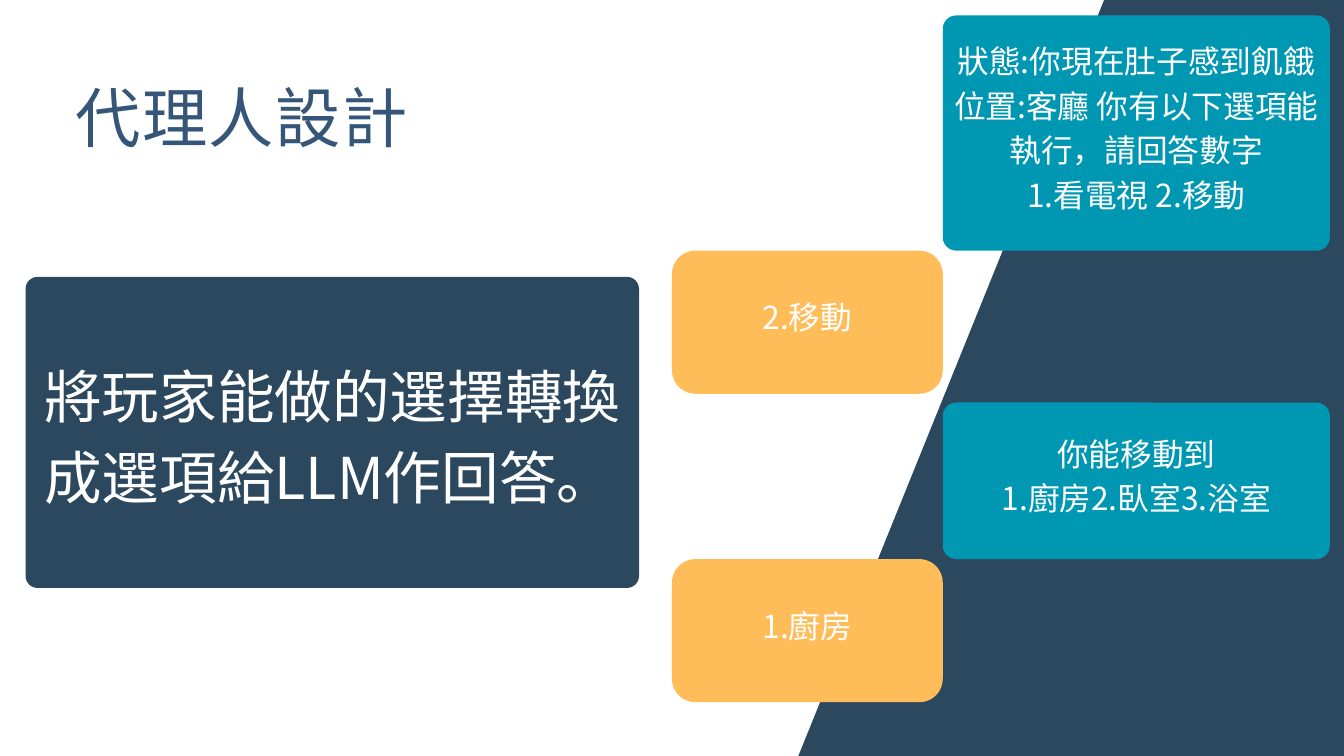
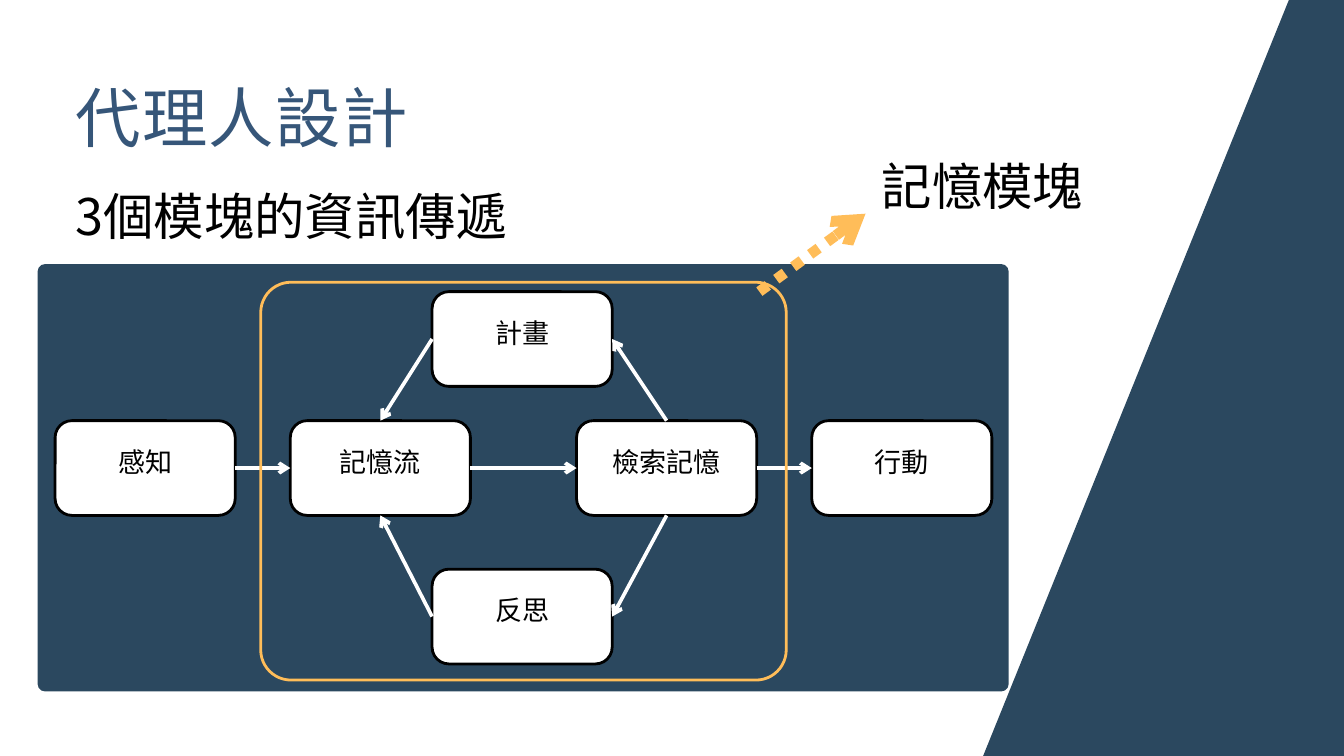
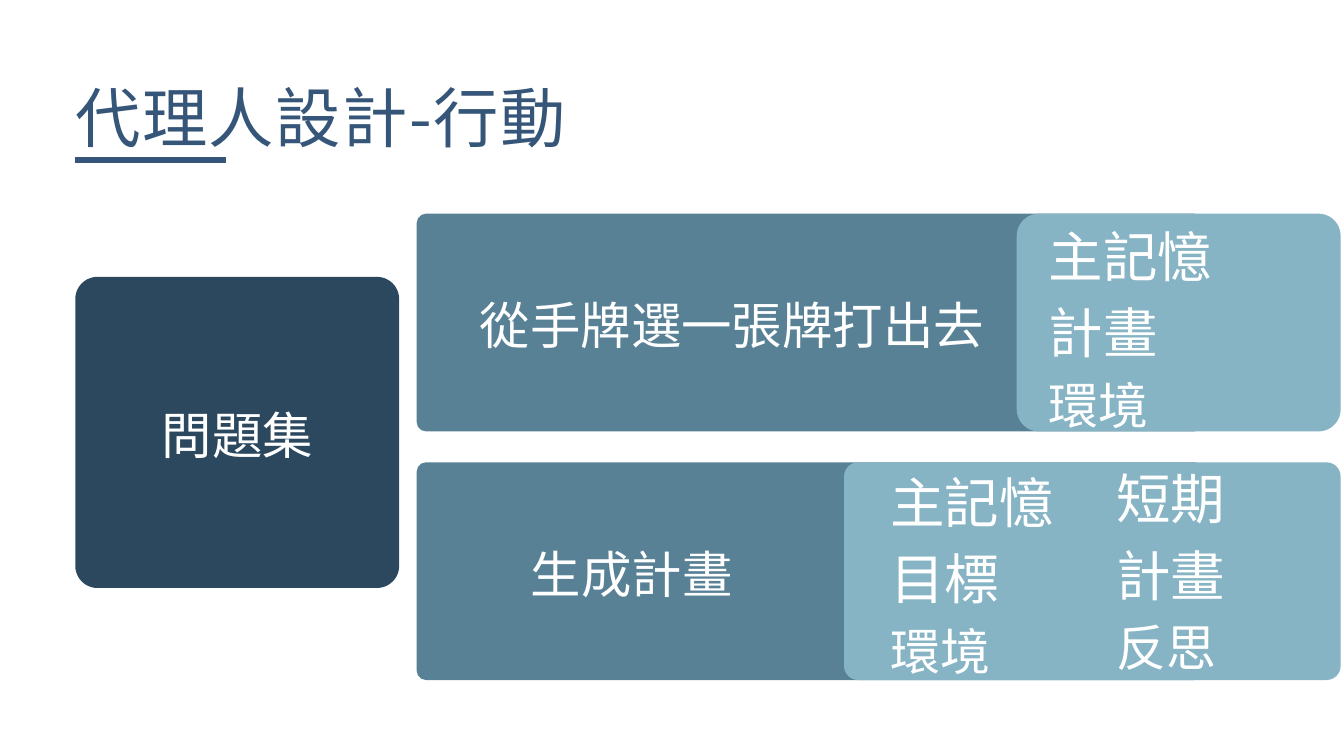
from dataclasses import dataclass

from lxml import etree
from pptx import Presentation
from pptx.dml.color import RGBColor
from pptx.enum import dml, shapes, text
from pptx.oxml import ns
from pptx.util import Emu, Pt

PX = 9144  # EMU per px, 100 px to the inch
WIDTH, HEIGHT = 2000, 1125


@dataclass(frozen=True)
class Theme:
    font: str = "Noto Sans CJK JP"
    navy: str = "2B485F"
    title_blue: str = "365679"
    teal: str = "0097B2"
    amber: str = "FFBD59"
    steel: str = "598196"
    sky: str = "86B4C4"
    white: str = "FFFFFF"
    black: str = "000000"
    title: float = 70
    statement: float = 61.7
    heading: float = 54
    item: float = 58.4
    last_item: float = 53.4
    dialogue: float = 34
    node: float = 29
    title_leading: float = 1.3
    leading: float = 1.4
    title_tracking: int = 170
    outline: float = 3


THEME = Theme()
LEFT, CENTER = text.PP_ALIGN.LEFT, text.PP_ALIGN.CENTER
LAYOUT_CONTENT, LAYOUT_COMPARISON = 1, 4

# ---- Content ----
TITLE = "代理人設計"
ACTION_TITLE = "代理人設計-行動"

STATEMENT = "將玩家能做的選擇轉換成選項給LLM作回答。"
PROMPTS = [  # lines, top, height
    (["狀態:你現在肚子感到飢餓 位置:客廳 你有以下選項能執行，請回答數字",
      "1.看電視 2.移動"], 23, 350),
    (["你能移動到", "1.廚房2.臥室3.浴室"], 599, 233),
]
ANSWERS = [("2.移動", 373), ("1.廚房", 832)]  # text, top

FLOW_HEADING = "3個模塊的資訊傳遞"
MEMORY_LABEL = "記憶模塊"
NODES = {  # name: left, top
    "感知": (82, 626), "記憶流": (432, 626), "檢索記憶": (858, 626),
    "行動": (1208, 626), "計畫": (643, 434), "反思": (643, 847),
}
TOP, WEST, BOTTOM, EAST = range(4)  # connection sites of a rounded rectangle
FLOWS = [
    ("感知", EAST, "記憶流", WEST),
    ("記憶流", EAST, "檢索記憶", WEST),
    ("檢索記憶", EAST, "行動", WEST),
    ("檢索記憶", TOP, "計畫", EAST),
    ("計畫", WEST, "記憶流", TOP),
    ("反思", WEST, "記憶流", BOTTOM),
    ("檢索記憶", BOTTOM, "反思", EAST),
]

QUESTION_SET = "問題集"
QUESTIONS = [  # question, text indent, top, card left, card radius
    ("從手牌選一張牌打出去", 90, 318, 1513, 33),
    ("生成計畫", 166, 688, 1256, 21),
]
INPUTS = [  # items, left, top, width
    (["主記憶", "計畫", "環境"], 1561, 315, 434),
    (["主記憶", "目標", "環境"], 1325, 681, 259),
    (["短期", "計畫", "反思"], 1661, 676, 259),
]


# ---- Shared helpers ----
def px(value):
    return Emu(round(value * PX))


def color(value):
    return RGBColor.from_string(value)


def add_element(parent, tag, **attributes):
    return etree.SubElement(parent, ns.qn(tag), attributes)


def write(shape, lines, ink, sizes, align=LEFT, leading=THEME.leading,
          margins=(0, 0, 0, 0), anchor=text.MSO_ANCHOR.TOP):
    """Fill a shape with one paragraph per line; sizes matches lines."""
    frame = shape.text_frame
    frame.word_wrap = True
    frame.auto_size = text.MSO_AUTO_SIZE.NONE
    frame.vertical_anchor = anchor
    (frame.margin_left, frame.margin_top,
     frame.margin_right, frame.margin_bottom) = map(px, margins)
    for index, (line, size) in enumerate(zip(lines, sizes)):
        paragraph = frame.paragraphs[0] if index == 0 else frame.add_paragraph()
        properties = paragraph._p.get_or_add_pPr()
        properties.set("marL", "0")
        properties.set("indent", "0")
        add_element(properties, "a:buNone")
        paragraph.alignment = align
        paragraph.line_spacing = Pt(round(size * leading, 1))
        paragraph.space_before = Pt(0)
        run = paragraph.add_run()
        run.text = line
        run.font.size = Pt(size)
        run.font.bold = False
        run.font.color.rgb = color(ink)
        run.font.name = THEME.font
        add_element(run._r.get_or_add_rPr(), "a:ea", typeface=THEME.font)


def place(shape, left, top, width, height):
    shape.left, shape.top = px(left), px(top)
    shape.width, shape.height = px(width), px(height)


def bring_to_front(shape):
    shape._element.getparent().append(shape._element)


def new_slide(presentation, layout, title, title_width=667):
    slide = presentation.slides.add_slide(presentation.slide_layouts[layout])
    shape = slide.shapes.title
    place(shape, 112, 105, title_width, 124)
    write(shape, [title], THEME.title_blue, [THEME.title],
          leading=THEME.title_leading)
    for run in shape.text_frame.paragraphs[0].runs:
        run._r.get_or_add_rPr().set("spc", str(THEME.title_tracking))
    return slide


def body_placeholders(slide):
    return [shape for shape in slide.placeholders
            if shape.placeholder_format.idx > 0]


def fill_body(shape, box, lines, ink, sizes):
    place(shape, *box)
    write(shape, lines, ink, sizes)
    bring_to_front(shape)


def rounded_box(slide, box, radius, fill=None, outline=None):
    shape = slide.shapes.add_shape(
        shapes.MSO_SHAPE.ROUNDED_RECTANGLE, *map(px, box))
    shape.adjustments[0] = radius / min(box[2:])
    shape.shadow.inherit = False
    if fill:
        shape.fill.solid()
        shape.fill.fore_color.rgb = color(fill)
    else:
        shape.fill.background()
    if outline:
        shape.line.color.rgb = color(outline)
        shape.line.width = Pt(THEME.outline)
    else:
        shape.line.fill.background()
    return shape


def label(shape, lines, size, ink=THEME.white, lift=0, indent=0, align=CENTER):
    """Write inside a box, middle anchored; lift is the extra bottom margin."""
    write(shape, lines, ink, [size] * len(lines), align,
          margins=(indent, 0, 0, lift), anchor=text.MSO_ANCHOR.MIDDLE)


def slanted_band(slide, top_x):
    """Navy side band whose left edge leans 455 px over the slide height."""
    builder = slide.shapes.build_freeform(top_x, 0, scale=PX)
    builder.add_line_segments(
        [(WIDTH, 0), (WIDTH, HEIGHT), (top_x - 455, HEIGHT)], close=True)
    band = builder.convert_to_shape()
    band.shadow.inherit = False
    band.fill.solid()
    band.fill.fore_color.rgb = color(THEME.navy)
    band.line.fill.background()


def add_line(slide, ends, ink, width, arrow=True, dash=None):
    connector = slide.shapes.add_connector(
        shapes.MSO_CONNECTOR.STRAIGHT, *map(px, ends))
    connector.line.color.rgb = color(ink)
    connector.line.width = Pt(width)
    if dash:
        connector.line.dash_style = dash
    if arrow:
        add_element(connector.line._get_or_add_ln(), "a:tailEnd", type="arrow")
    add_element(connector._element.spPr, "a:effectLst")
    return connector


# ---- Slides ----
def build_choices(presentation):
    slide = new_slide(presentation, LAYOUT_CONTENT, TITLE)
    rounded_box(slide, (38, 412, 913, 463), 18, THEME.navy)
    fill_body(body_placeholders(slide)[0], (66, 520, 857, 236),
              [STATEMENT], THEME.white, [THEME.statement])
    slanted_band(slide, 1643)
    for lines, top, height in PROMPTS:
        box = rounded_box(slide, (1403, top, 576, height), 20, THEME.teal)
        label(box, lines, THEME.dialogue, lift=25)
    for answer, top in ANSWERS:
        box = rounded_box(slide, (1000, top, 403, 213), 35, THEME.amber)
        label(box, [answer], THEME.dialogue, lift=25)


def build_flow(presentation):
    slide = new_slide(presentation, LAYOUT_CONTENT, TITLE)
    rounded_box(slide, (56, 393, 1445, 636), 11, THEME.navy)
    slanted_band(slide, 1918)

    # Modules and the arrows between them
    nodes = {}
    for name, (left, top) in NODES.items():
        nodes[name] = rounded_box(slide, (left, top, 268, 141), 25,
                                  THEME.white, THEME.black)
        label(nodes[name], [name], THEME.node, THEME.black, lift=28)
    for source, source_site, target, target_site in FLOWS:
        arrow = add_line(slide, (0, 0, 0, 0), THEME.white, 3.95)
        arrow.begin_connect(nodes[source], source_site)
        arrow.end_connect(nodes[target], target_site)

    # Memory module frame and its callout
    rounded_box(slide, (388, 420, 782, 592), 45, outline=THEME.amber)
    fill_body(body_placeholders(slide)[0], (112, 261, 747, 102),
              [FLOW_HEADING], THEME.black, [THEME.heading])
    add_line(slide, (1130, 434, 1288, 318), THEME.amber, 11.25,
             dash=dml.MSO_LINE.ROUND_DOT)
    callout = slide.shapes.add_textbox(*map(px, (1312, 216, 369, 102)))
    write(callout, [MEMORY_LABEL], THEME.black, [THEME.heading])


def build_actions(presentation):
    slide = new_slide(presentation, LAYOUT_COMPARISON, ACTION_TITLE, 767)
    add_line(slide, (112, 238, 337, 238), THEME.title_blue, 6.75, arrow=False)
    box = rounded_box(slide, (112, 412, 482, 463), 33, THEME.navy)
    label(box, [QUESTION_SET], THEME.heading, lift=9)

    # Each question bar carries a card of inputs at its right end
    for question, indent, top, card_left, radius in QUESTIONS:
        bar = rounded_box(slide, (620, top, 1171, 324), 14, THEME.steel)
        label(bar, [question], THEME.heading, lift=9, indent=indent, align=LEFT)
        rounded_box(slide, (card_left, top, 1995 - card_left, 324), radius,
                    THEME.sky)

    bodies = body_placeholders(slide)
    sizes = [THEME.item, THEME.item, THEME.last_item]
    for body, (items, left, top, width) in zip(bodies, INPUTS):
        fill_body(body, (left, top, width, 327), items, THEME.white, sizes)
    for unused in bodies[len(INPUTS):]:
        unused._element.getparent().remove(unused._element)


def main():
    presentation = Presentation()
    presentation.slide_width, presentation.slide_height = px(WIDTH), px(HEIGHT)
    for build in (build_choices, build_flow, build_actions):
        build(presentation)
    presentation.save("out.pptx")


if __name__ == "__main__":
    main()
